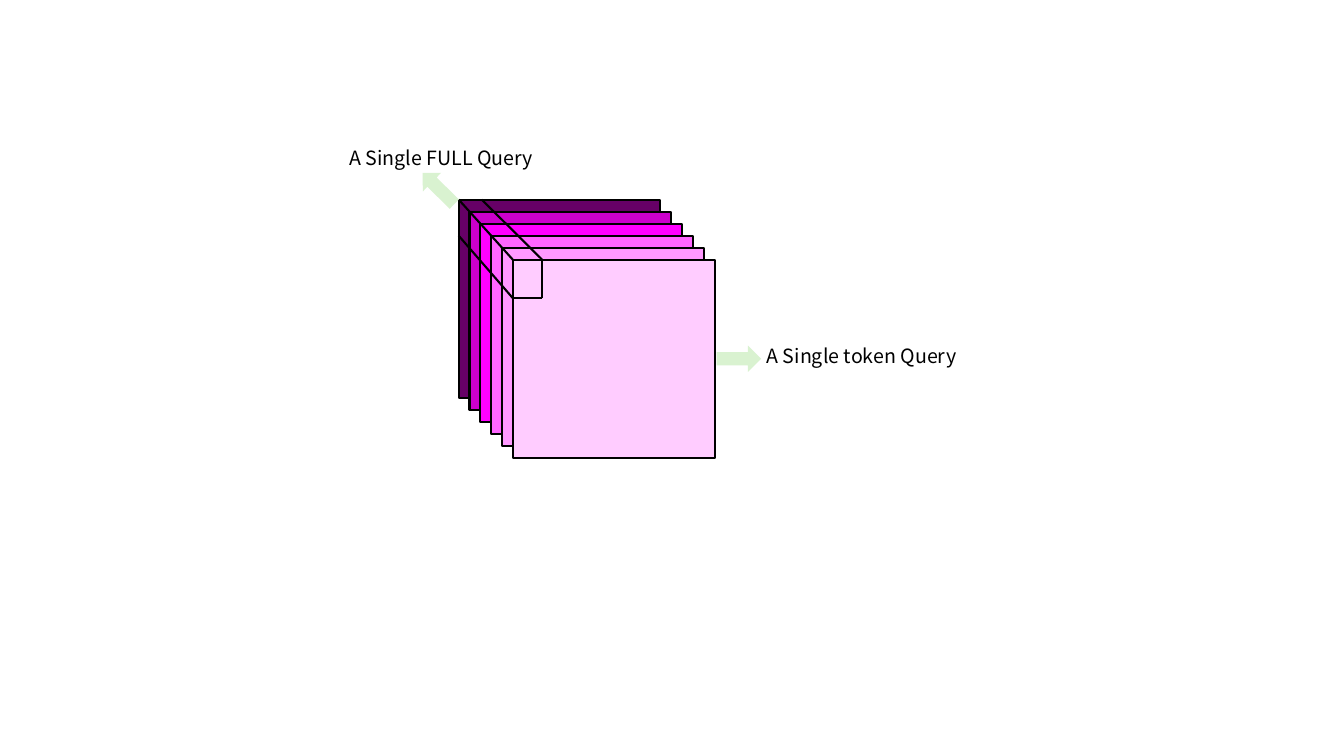
from pptx import Presentation, util as u
from pptx.dml.color import RGBColor
from pptx.enum import shapes, text
from lxml import etree

INK = {
    "line": "000000",
    "arrow": "D9F2D0",
    "layers": ["660066", "CC00CC", "FF00FF", "FF66FF", "FF99FF", "FFCCFF"],
}
A = "{http://schemas.openxmlformats.org/drawingml/2006/main}"


class Deck:
    """Holds the style, the slide and the shape tree that is being filled."""

    font, size, width = "Noto Sans CJK SC", u.Pt(14), u.Pt(1.5)

    def __init__(self):
        self.prs = Presentation()
        self.prs.slide_width, self.prs.slide_height = u.Cm(33.87), u.Cm(19.05)
        self.slide = self.prs.slides.add_slide(self.prs.slide_layouts[6])
        self.top()

    def top(self):
        """Put the next elements straight on the slide."""
        self.tree = self.slide.shapes

    def group(self):
        """Put the next elements in a new group."""
        self.tree = self.slide.shapes.add_group_shape().shapes

    def pen(self, line):
        line.color.rgb = RGBColor.from_string(INK["line"])
        line.width = self.width

    def block(self, kind, box, fill):
        shape = self.tree.add_shape(kind, *map(u.Cm, box))
        shape.shadow.inherit = False
        shape.fill.solid()
        shape.fill.fore_color.rgb = RGBColor.from_string(fill)
        return shape

    def layer(self, box, fill):
        self.pen(self.block(shapes.MSO_SHAPE.RECTANGLE, box, fill).line)

    def arrow(self, x, y, turn=0):
        shape = self.block(shapes.MSO_SHAPE.RIGHT_ARROW, (x, y, 1.12, 0.66), INK["arrow"])
        shape.line.fill.background()
        shape.rotation = turn

    def edge(self, start, end):
        line = self.tree.add_connector(shapes.MSO_CONNECTOR.STRAIGHT, *map(u.Cm, start + end))
        self.pen(line.line)
        etree.SubElement(line._element.spPr, A + "effectLst")

    def label(self, x, y, words):
        frame = self.tree.add_textbox(*map(u.Cm, (x, y, 5.49, 0.86))).text_frame
        para = frame.paragraphs[0]
        para.alignment = text.PP_ALIGN.CENTER
        run = para.add_run()
        run.text = words
        run.font.color.rgb = RGBColor.from_string(INK["line"])
        looks = {
            frame: {"word_wrap": True, "auto_size": text.MSO_AUTO_SIZE.SHAPE_TO_FIT_TEXT},
            run.font: {"name": self.font, "size": self.size},
        }
        for item, look in looks.items():
            for key, value in look.items():
                setattr(item, key, value)


def stack(deck, back, front):
    """Draw the layers at equal steps from the back corner to the front one."""
    deck.group()
    last = len(INK["layers"]) - 1
    for i, fill in enumerate(INK["layers"]):
        x, y = (b + (f - b) * i / last for b, f in zip(back, front))
        deck.layer((x, y, 5.08, 5), fill)


def token(deck, back, front):
    """Outline the bar that runs through the corner of all layers."""
    deck.group()
    (bx, by), (fx, fy) = back, front
    right, low = (fx + 0.74, fy), (fx, fy + 0.97)
    far = (right[0], low[1])
    deep, down = (bx + 0.58, by), (bx, by + 0.91)
    edges = [(right, far), (front, low), (low, down), (front, back), (right, deep),
             (far, low), (right, front), (deep, back), (back, down)]
    for start, end in edges:
        deck.edge(start, end)


def main():
    deck = Deck()
    back, front = (11.56, 5.03), (12.93, 6.55)
    stack(deck, back, front)
    token(deck, back, front)
    deck.top()
    deck.arrow(10.49, 4.42, 224.5)
    deck.label(8.38, 3.56, "A Single FULL Query")
    deck.arrow(18.06, 8.71)
    deck.label(18.97, 8.53, "A Single token Query")
    deck.prs.save("out.pptx")


if __name__ == "__main__":
    main()
